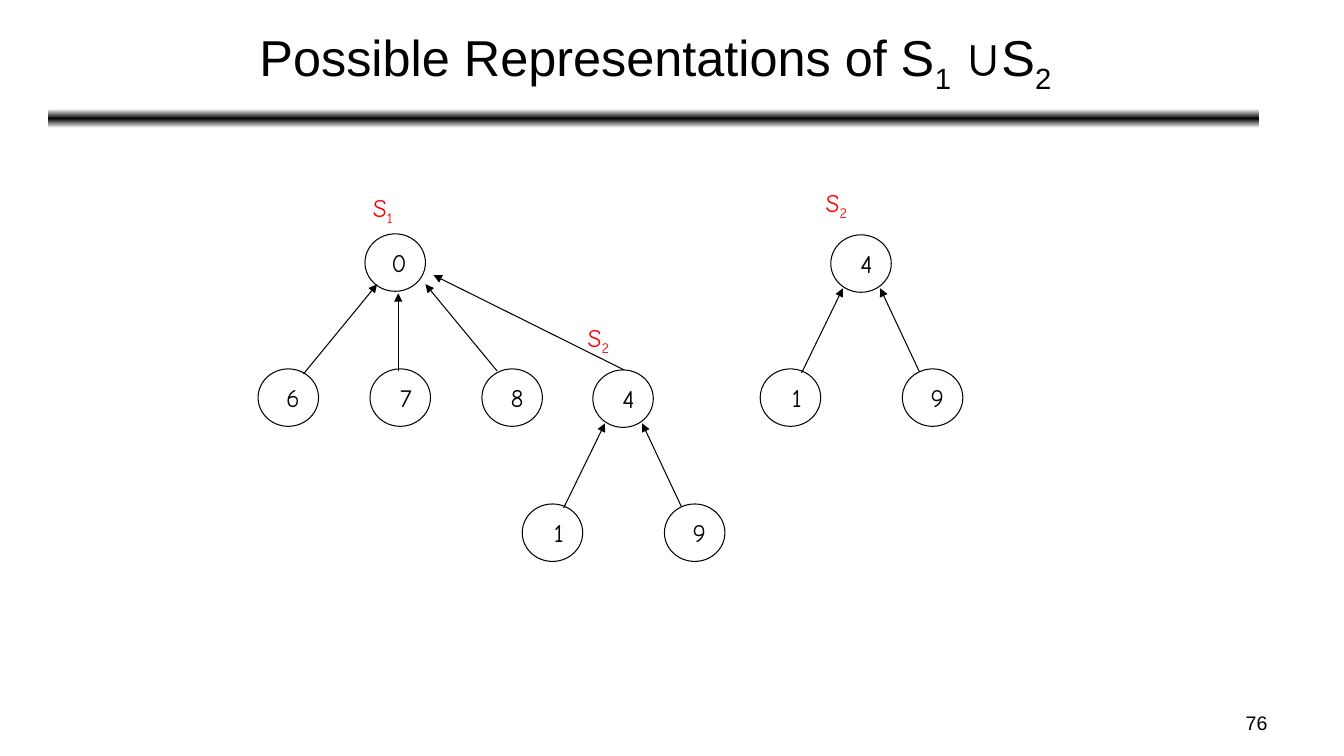
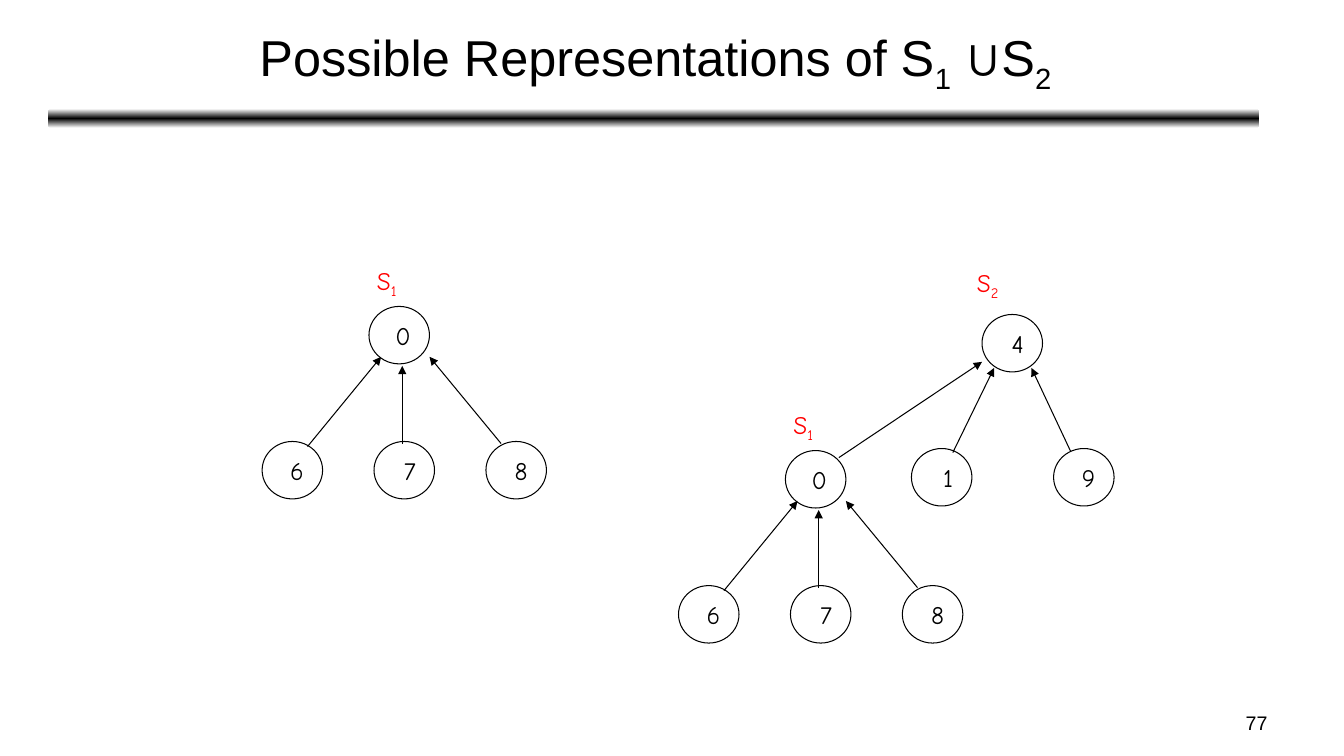
from copy import deepcopy
from dataclasses import dataclass

from lxml import etree
from pptx import Presentation
from pptx.dml.color import RGBColor
from pptx.enum.shapes import MSO_CONNECTOR, MSO_SHAPE
from pptx.enum.text import MSO_ANCHOR, PP_ALIGN
from pptx.oxml.ns import qn
from pptx.util import Inches, Pt

LEFT, CENTER, RIGHT = PP_ALIGN.LEFT, PP_ALIGN.CENTER, PP_ALIGN.RIGHT
MIDDLE = MSO_ANCHOR.MIDDLE
OVAL, ROUND_RECT = MSO_SHAPE.OVAL, MSO_SHAPE.ROUNDED_RECTANGLE
STRAIGHT = MSO_CONNECTOR.STRAIGHT


@dataclass(frozen=True)
class Theme:
    ink: RGBColor = RGBColor(0, 0, 0)
    paper: RGBColor = RGBColor(255, 255, 255)
    accent: RGBColor = RGBColor(255, 0, 0)
    title_font: str = "Arial"
    tree_font: str = "Comic Neue"
    title_size: int = 36
    tree_size: int = 18
    page_size: int = 14
    line: float = 0.75


THEME = Theme()

# Content: text is a list of pieces, "_" marks a subscript
TITLE = ["Possible Representations of S", "_1", " ∪S", "_2"]

# Each tree: root, label and its offset, then per child:
# value, node offset, arrow start and arrow tip, all from the root's corner
S1 = {
    "root": "0", "label": ["S", "_1"], "label_at": (-0.02, -0.46),
    "children": [
        ("6", (-1.06, 1.34), (-0.61, 1.39), (0.12, 0.5)),
        ("7", (0.05, 1.34), (0.33, 1.36), (0.33, 0.59)),
        ("8", (1.16, 1.34), (1.31, 1.36), (0.6, 0.5)),
    ],
}
S2 = {
    "root": "4", "label": ["S", "_2"], "label_at": (-0.15, -0.52),
    "children": [
        ("1", (-0.7, 1.33), (-0.29, 1.37), (0.12, 0.53)),
        ("9", (0.71, 1.33), (0.88, 1.36), (0.49, 0.53)),
    ],
}

# Each slide: page number, trees with root corners, arrow joining two trees
SLIDES = [
    ("76", [(S1, (3.62, 2.32)), (S2, (8.24, 2.33)), (S2, (5.88, 3.67))],
     ((6.19, 3.67), (4.3, 2.73))),
    ("77", [(S1, (3.66, 3.04)), (S2, (9.74, 3.12)), (S1, (7.79, 4.47))],
     ((8.32, 4.54), (9.74, 3.59))),
]

# Sizes and boxes in inches
SLIDE_SIZE = (13.33, 7.5)
TITLE_BOX = (0.5, 0.11, 12, 0.99)
BAND_BOX = (0.48, 1.08, 12.01, 0.19)
PAGE_BOX = (9.56, 7, 3.11, 0.35)
NODE_SIZE = (0.6, 0.57)
LABEL_SIZE = (0.75, 0.4)


def inches(values):
    return [Inches(v) for v in values]


def shift(at, offset):
    return at[0] + offset[0], at[1] + offset[1]


def write(sp, pieces, *, font, size, color=THEME.ink, align=LEFT,
          anchor=None, wrap=True):
    tf = sp.text_frame
    tf.word_wrap = wrap
    if anchor is not None:
        tf.vertical_anchor = anchor
    p = tf.paragraphs[0]
    p.alignment = align
    for piece in pieces:
        r = p.add_run()
        r.text = piece.removeprefix("_")
        r.font.name, r.font.size = font, Pt(size)
        r.font.color.rgb = color
        if piece.startswith("_"):
            r.font.bold = False
            r._r.get_or_add_rPr().set("baseline", "-25000")


def add_text(s, box, pieces, **fmt):
    write(s.shapes.add_textbox(*inches(box)), pieces, **fmt)


def add_node(s, at, value):
    sp = s.shapes.add_shape(OVAL, *inches(at + NODE_SIZE))
    sp.shadow.inherit = False
    sp.fill.background()
    sp.line.color.rgb, sp.line.width = THEME.ink, Pt(THEME.line)
    write(sp, [value], font=THEME.tree_font, size=THEME.tree_size,
          align=RIGHT, anchor=MIDDLE, wrap=False)


def add_arrow(s, start, tip):
    cxn = s.shapes.add_connector(STRAIGHT, *inches(start + tip))
    cxn.line.color.rgb, cxn.line.width = THEME.ink, Pt(THEME.line)
    etree.SubElement(cxn.line._get_or_add_ln(), qn("a:tailEnd"), type="triangle")
    etree.SubElement(cxn.element.spPr, qn("a:effectLst"))


def add_tree(s, tree, at):
    add_node(s, at, tree["root"])
    for value, node, start, tip in tree["children"]:
        add_node(s, shift(at, node), value)
        add_arrow(s, shift(at, start), shift(at, tip))
    add_text(s, shift(at, tree["label_at"]) + LABEL_SIZE, tree["label"],
             font=THEME.tree_font, size=THEME.tree_size, color=THEME.accent)


def add_band(s, layout):
    """Draw the gradient band, then hand it to the layout so all slides share it."""
    sp = s.shapes.add_shape(ROUND_RECT, *inches(BAND_BOX))
    sp.shadow.inherit = False
    sp.line.fill.background()
    sp.fill.gradient()
    sp.fill.gradient_angle = 90
    stops = sp.element.find(".//" + qn("a:gsLst"))
    stops.insert(1, deepcopy(stops[0]))
    colors = (THEME.paper, THEME.ink, THEME.paper)
    for i, (stop, color) in enumerate(zip(sp.fill.gradient_stops, colors)):
        stop.position = i / 2
        stop.color.rgb = color
    layout.shapes.element.append(sp.element)


def place(sp, box):
    sp.left, sp.top, sp.width, sp.height = inches(box)


def main():
    prs = Presentation()
    prs.slide_width, prs.slide_height = inches(SLIDE_SIZE)
    layout = prs.slide_layouts[5]

    for i, (page, trees, joint) in enumerate(SLIDES):
        s = prs.slides.add_slide(layout)
        if i == 0:
            add_band(s, layout)
        # Title
        place(s.shapes.title, TITLE_BOX)
        write(s.shapes.title, TITLE, font=THEME.title_font,
              size=THEME.title_size, align=CENTER, anchor=MIDDLE)
        # Trees and the arrow that unites two of them
        for tree, at in trees:
            add_tree(s, tree, at)
        add_arrow(s, *joint)
        # Page number
        add_text(s, PAGE_BOX, [page], font=THEME.title_font,
                 size=THEME.page_size, align=RIGHT)

    prs.save("out.pptx")


if __name__ == "__main__":
    main()
